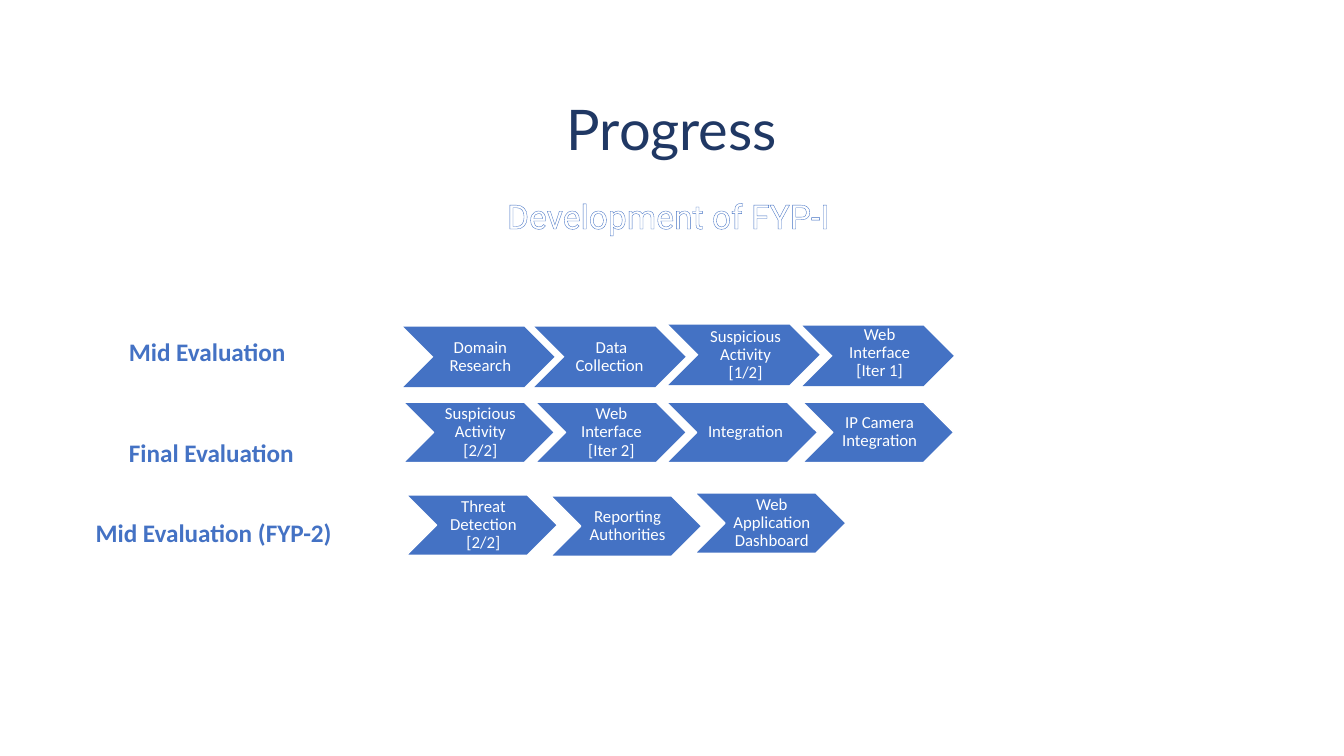
import pptx
import pptx.dml.color
import pptx.enum.shapes
import pptx.enum.text
import pptx.oxml
import pptx.oxml.ns
import pptx.util

PX = 9144  # EMU in one px, 100 px to the inch
HUES = {"navy": "203864", "blue": "4472C4", "white": "FFFFFF"}
ALIGN = pptx.enum.text.PP_ALIGN
MID = pptx.enum.text.MSO_ANCHOR.MIDDLE
GROW = pptx.enum.text.MSO_AUTO_SIZE.SHAPE_TO_FIT_TEXT

# Each format: frame, paragraph and font values, then the text colour
FORMATS = {
    "title": (
        {"vertical_anchor": MID, "margin_top": 10 * PX, "margin_bottom": 10 * PX},
        {"alignment": ALIGN.CENTER, "line_spacing": 0.9},
        {"name": "Lato", "size": pptx.util.Pt(40)},
        "navy",
    ),
    "phase": (
        {"auto_size": GROW},
        {"alignment": ALIGN.CENTER},
        {"name": "Roboto", "size": pptx.util.Pt(24)},
        "white",
    ),
    "label": (
        {"auto_size": GROW},
        {"alignment": ALIGN.LEFT},
        {"name": "Calibri", "size": pptx.util.Pt(18), "bold": True},
        "blue",
    ),
    "step": (
        {"vertical_anchor": MID, "margin_left": 5 * PX, "margin_right": 2 * PX,
         "margin_top": 2 * PX, "margin_bottom": 2 * PX},
        {"alignment": ALIGN.CENTER, "line_spacing": 0.9},
        {"name": "Calibri", "size": pptx.util.Pt(12)},
        "white",
    ),
}

LABELS = [
    ("Mid Evaluation", 118, 329, 237),
    ("Final Evaluation", 118, 429, 246),
    ("Mid Evaluation (FYP-2)", 85, 508, 257),
]
# Each row: white edge or not, then steps as text, left, top, text shift across and down
ROWS = [
    (False, [
        ("Domain Research", 400, 324, 30, 0),
        ("Data Collection ", 530, 324, 30, 0),
        ("Suspicious Activity [1/2]", 663, 322, 30, 0),
        ("Web Interface [Iter 1]", 796, 323, 30, -3),
    ]),
    (True, [
        ("Suspicious Activity [2/2]", 400, 399, 30, 0),
        ("Web Interface [Iter 2]", 531, 399, 29, 0),
        ("Integration", 661, 399, 32, 0),
        ("IP Camera Integration", 796, 399, 30, 0),
    ]),
    (True, [
        ("Threat Detection [2/2]", 403, 491, 30, 0),
        ("Reporting Authorities", 546, 492, 30, 0),
        ("Web Application Dashboard", 689, 489, 30, 0),
    ]),
]


def scale(*box):
    return [n * PX for n in box]


def tint(name):
    return pptx.dml.color.RGBColor.from_string(HUES[name])


def assign(item, values):
    for key, value in values.items():
        setattr(item, key, value)


def add_text(slide, text, box, style):
    """Add a one-paragraph text box and return its run."""
    frame_set, para_set, font_set, hue = FORMATS[style]
    frame = slide.shapes.add_textbox(*scale(*box)).text_frame
    para = frame.paragraphs[0]
    run = para.add_run()
    run.text = text
    assign(frame, {"word_wrap": True, **frame_set})
    assign(para, para_set)
    assign(run.font, font_set)
    run.font.color.rgb = tint(hue)
    return run


def outline(run, hue):
    """Draw a thin line round the letters of a run."""
    line = pptx.oxml.parse_xml(
        f'<a:ln {pptx.oxml.ns.nsdecls("a")} w="9525"><a:solidFill>'
        f'<a:srgbClr val="{HUES[hue]}"/></a:solidFill></a:ln>'
    )
    run.font._element.insert(0, line)


def add_step(slide, step, edged):
    text, left, top, across, down = step
    arrow = slide.shapes.add_shape(
        pptx.enum.shapes.MSO_SHAPE.CHEVRON, *scale(left, top, 150, 60))
    arrow.shadow.inherit = False
    arrow.fill.solid()
    arrow.fill.fore_color.rgb = tint("blue")
    if edged:
        arrow.line.color.rgb = tint("white")
        arrow.line.width = pptx.util.Pt(1)
    else:
        arrow.line.fill.background()
    add_text(slide, text, (left + across, top + down, 90, 60), "step")


def main():
    deck = pptx.Presentation()
    deck.slide_width, deck.slide_height = scale(1333, 750)
    slide = deck.slides.add_slide(deck.slide_layouts[6])
    add_text(slide, "Progress", (325, 103, 683, 56), "title")
    phase = add_text(slide, "Development of FYP-I ", (417, 189, 500, 50), "phase")
    outline(phase, "blue")
    for text, left, top, width in LABELS:
        add_text(slide, text, (left, top, width, 40), "label")
    for edged, steps in ROWS:
        for step in steps:
            add_step(slide, step, edged)
    deck.save("out.pptx")


if __name__ == "__main__":
    main()
